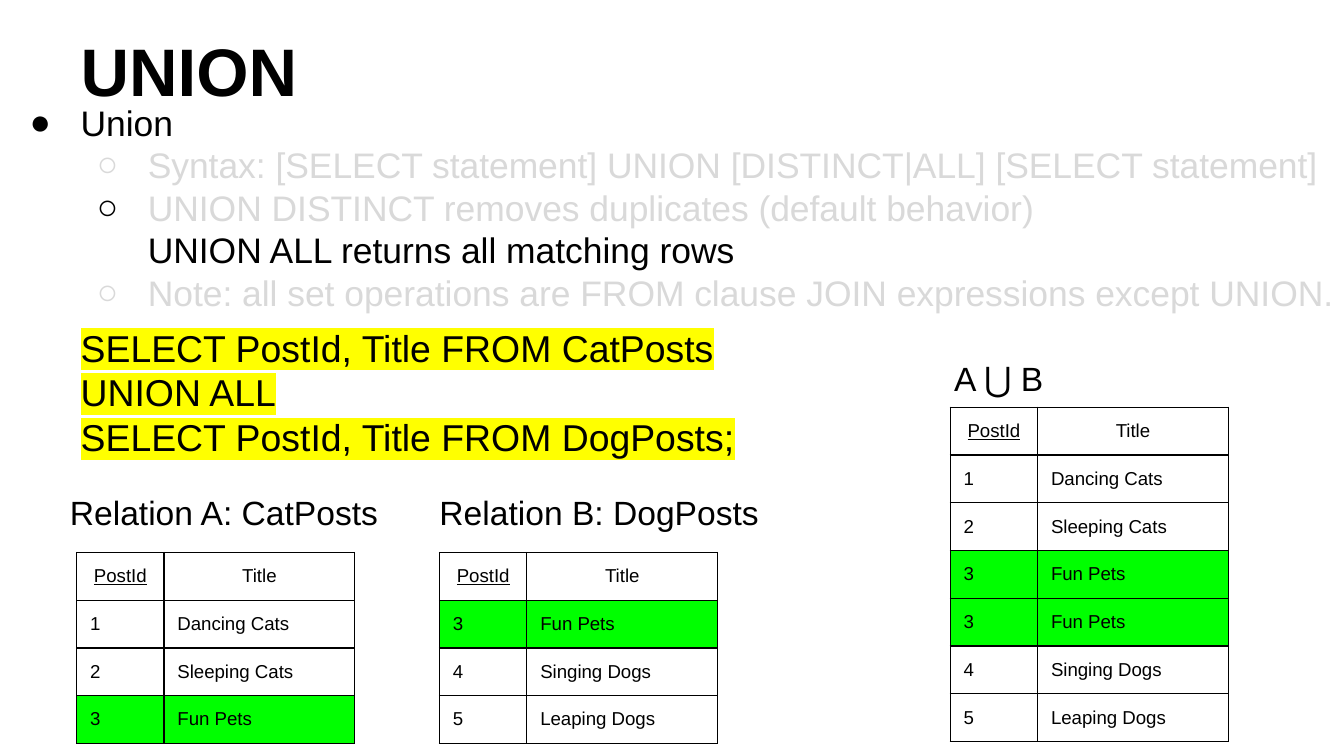
from dataclasses import dataclass

from lxml.etree import SubElement
from pptx import Presentation
from pptx.dml.color import RGBColor
from pptx.enum.text import MSO_ANCHOR, MSO_AUTO_SIZE, PP_ALIGN
from pptx.oxml.ns import qn
from pptx.util import Inches, Pt


@dataclass(frozen=True)
class Theme:
    """Colours, type sizes and spacing of the slide."""
    font: str = "Arial"
    ink: str = "000000"
    muted: str = "D9D9D9"
    paper: str = "FFFFFF"
    marker: str = "FFFF00"
    match: str = "00FF00"
    title: float = 36
    bullet: float = 19
    query: float = 20
    caption: float = 18
    cell: float = 10
    border: float = 0.75
    space_before: float = 6


THEME = Theme()
CAT_POSTS = [("1", "Dancing Cats"), ("2", "Sleeping Cats")]
SHARED_POST = ("3", "Fun Pets")
DOG_POSTS = [("4", "Singing Dogs"), ("5", "Leaping Dogs")]


def add_solid_fill(parent, color):
    """Add a solid fill element to an XML parent."""
    SubElement(SubElement(parent, qn("a:solidFill")), qn("a:srgbClr"), val=color)


def style_font(font, size, color=THEME.ink, bold=False):
    """Apply the theme's typeface with a size and colour."""
    font.name = THEME.font
    font.size = Pt(size)
    font.bold = bold
    font.color.rgb = RGBColor.from_string(color)


def place_frame(shape, box, anchor=MSO_ANCHOR.TOP):
    """Move a placeholder to its box and return its text frame."""
    shape.left, shape.top, shape.width, shape.height = map(Inches, box)
    frame = shape.text_frame
    frame.word_wrap = True
    frame.auto_size = MSO_AUTO_SIZE.NONE
    frame.vertical_anchor = anchor
    frame.margin_left = frame.margin_right = Inches(0.1)
    frame.margin_top = frame.margin_bottom = Inches(0.1)
    return frame


def format_paragraph(paragraph, before=0, left=0, hanging=0, bullet=None, bullet_color=THEME.ink):
    """Set spacing, indents and the bullet of a paragraph."""
    paragraph.alignment = PP_ALIGN.LEFT
    paragraph.line_spacing = 1.0
    paragraph.space_before = Pt(before)
    paragraph.space_after = Pt(0)
    properties = paragraph._p.get_or_add_pPr()
    properties.set("marL", str(Inches(left)))
    properties.set("indent", str(-Inches(hanging)))
    if bullet:
        SubElement(SubElement(properties, qn("a:buClr")), qn("a:srgbClr"), val=bullet_color)
        SubElement(properties, qn("a:buFont"), typeface=THEME.font)
        SubElement(properties, qn("a:buChar"), char=bullet)
    else:
        SubElement(properties, qn("a:buNone"))


def fill_title(shape, box, text):
    """Write the slide title."""
    paragraph = place_frame(shape, box, MSO_ANCHOR.BOTTOM).paragraphs[0]
    paragraph.text = text
    format_paragraph(paragraph)
    style_font(paragraph.font, THEME.title, bold=True)


def fill_body(shape, box, topic, points, query):
    """Write the topic, its sub-points and the highlighted query."""
    frame = place_frame(shape, box)
    paragraph = frame.paragraphs[0]
    paragraph.text = topic
    format_paragraph(paragraph, THEME.space_before, 0.5, 0.38, "●")
    style_font(paragraph.font, THEME.bullet)

    for muted_text, active_text in points:
        paragraph = frame.add_paragraph()
        paragraph.level = 1
        paragraph.text = muted_text
        bullet_color = THEME.ink if active_text else THEME.muted
        format_paragraph(paragraph, 0, 1, 0.38, "○", bullet_color)
        style_font(paragraph.font, THEME.bullet, THEME.muted)
        if active_text:
            paragraph.add_line_break()
            run = paragraph.add_run()
            run.text = active_text
            run.font.color.rgb = RGBColor.from_string(THEME.ink)

    paragraph = frame.add_paragraph()
    paragraph.text = "\v".join(query)
    format_paragraph(paragraph, THEME.space_before, 0.5)
    style_font(paragraph.font, THEME.query)
    for run in paragraph.runs:
        highlight = SubElement(run._r.get_or_add_rPr(), qn("a:highlight"))
        SubElement(highlight, qn("a:srgbClr"), val=THEME.marker)


def fill_cell(cell, text, heading, underlined, color):
    """Write one bordered table cell."""
    cell.margin_left = cell.margin_right = Inches(0.1)
    cell.margin_top = cell.margin_bottom = Inches(0.1)
    properties = cell._tc.get_or_add_tcPr()
    for side in ("a:lnL", "a:lnR", "a:lnT", "a:lnB"):
        line = SubElement(properties, qn(side), w=str(Pt(THEME.border)))
        add_solid_fill(line, THEME.ink)
    if color:
        cell.fill.solid()
        cell.fill.fore_color.rgb = RGBColor.from_string(color)
    else:
        cell.fill.background()
    paragraph = cell.text_frame.paragraphs[0]
    paragraph.text = text
    paragraph.alignment = PP_ALIGN.CENTER if heading else PP_ALIGN.LEFT
    style_font(paragraph.font, THEME.cell)
    paragraph.font.underline = underlined


def add_relation(slide, caption_shape, box, caption, table_offset, posts):
    """Write a relation's caption and its table of posts below it."""
    left, top, width, height = box
    paragraph = place_frame(caption_shape, box).paragraphs[0]
    paragraph.text = caption
    format_paragraph(paragraph, THEME.space_before)
    style_font(paragraph.font, THEME.caption)

    rows = [("PostId", "Title"), *posts]
    offset_left, offset_top = table_offset
    column_widths = (0.65, 1.42)
    row_height = 0.32
    table = slide.shapes.add_table(
        len(rows), len(column_widths), Inches(left + offset_left), Inches(top + offset_top),
        Inches(sum(column_widths)), Inches(row_height * len(rows))).table
    table.first_row = table.horz_banding = False
    for column, column_width in zip(table.columns, column_widths):
        column.width = Inches(column_width)
    for row_index, row in enumerate(rows):
        table.rows[row_index].height = Inches(row_height)
        color = THEME.match if row == SHARED_POST else None
        for column_index, text in enumerate(row):
            heading = row_index == 0
            fill_cell(table.cell(row_index, column_index), text, heading,
                      heading and column_index == 0, color)


def build_union_slide(presentation):
    """Build the slide that explains UNION ALL."""
    slide = presentation.slides.add_slide(presentation.slide_layouts.get_by_name("Comparison"))
    slide.background.fill.solid()
    slide.background.fill.fore_color.rgb = RGBColor.from_string(THEME.paper)
    title, body, *captions = slide.placeholders

    fill_title(title, (0.5, -0.02, 9, 0.94), "UNION")
    fill_body(
        body, (0, 0.65, 10.07, 1.84), "Union",
        [("Syntax: [SELECT statement] UNION [DISTINCT|ALL] [SELECT statement]", None),
         ("UNION DISTINCT removes duplicates (default behavior)",
          "UNION ALL returns all matching rows"),
         ("Note: all set operations are FROM clause JOIN expressions except UNION.", None)],
        ["SELECT PostId, Title FROM CatPosts", "UNION ALL",
         "SELECT PostId, Title FROM DogPosts;"])

    cats, dogs = [*CAT_POSTS, SHARED_POST], [SHARED_POST, *DOG_POSTS]
    relations = [
        (0.42, 3.56, "Relation A: CatPosts", (0.15, 0.55), cats),
        (3.17, 3.56, "Relation B: DogPosts", (0.1, 0.55), dogs),
        (7, 2.56, "A ⋃ B", (0.07, 0.47), cats + dogs),
    ]
    for shape, (left, top, caption, table_offset, posts) in zip(captions, relations):
        add_relation(slide, shape, (left, top, 2.75, 0.61), caption, table_offset, posts)


def main():
    """Create and save the presentation."""
    presentation = Presentation()
    presentation.slide_width = Inches(10)
    presentation.slide_height = presentation.slide_width * 9 // 16
    build_union_slide(presentation)
    presentation.save("out.pptx")


if __name__ == "__main__":
    main()
